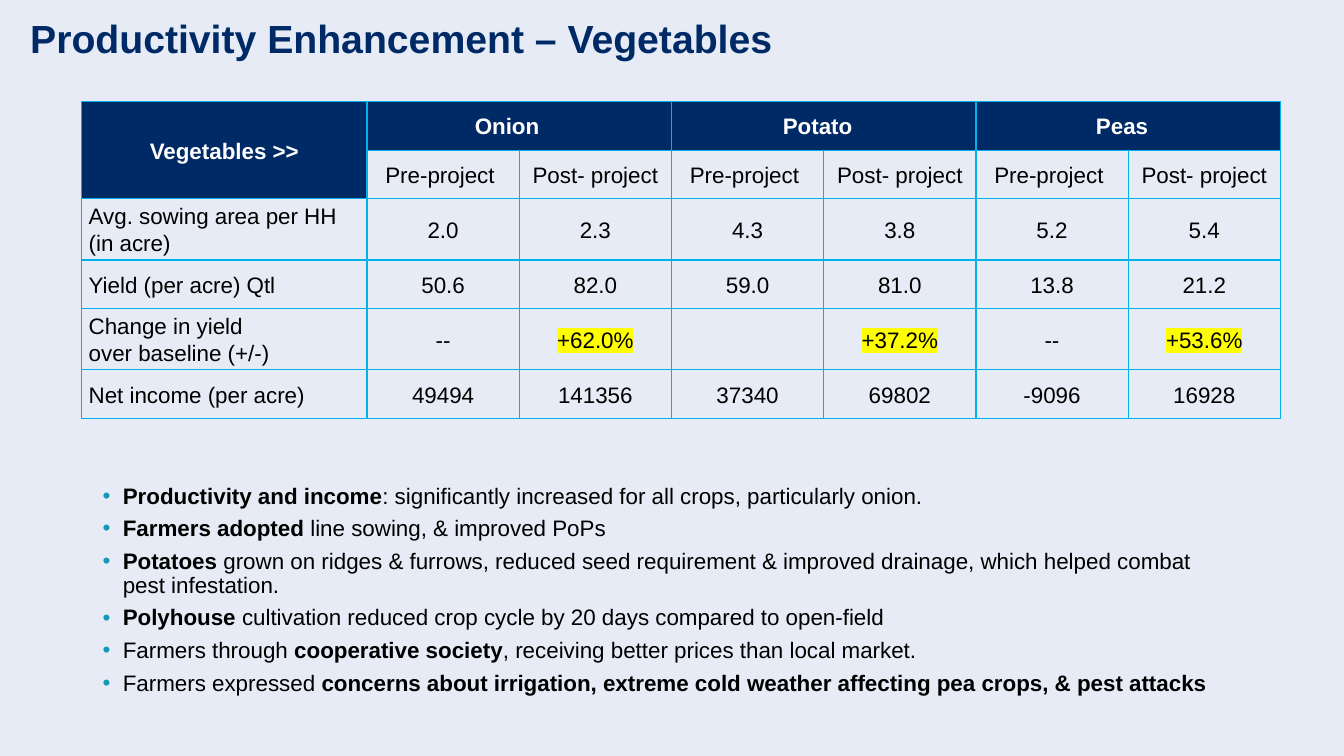
from lxml.etree import SubElement
from pptx import Presentation
from pptx.dml.color import RGBColor
from pptx.enum.text import MSO_ANCHOR, MSO_AUTO_SIZE, PP_ALIGN
from pptx.oxml import parse_xml
from pptx.oxml.ns import nsdecls, qn
from pptx.util import Inches, Pt

NAVY = RGBColor(0x00, 0x2A, 0x66)
PALE_BLUE = RGBColor(0xE6, 0xEB, 0xF5)
CYAN = RGBColor(0x00, 0xB1, 0xE7)
TEAL = RGBColor(0x12, 0x99, 0xB3)
YELLOW = RGBColor(0xFF, 0xFF, 0x00)
BLACK = RGBColor(0x00, 0x00, 0x00)
WHITE = RGBColor(0xFF, 0xFF, 0xFF)

# Crop name and extra right margin in its heading cell
CROPS = [("Onion", 0.24), ("Potato", 0.12), ("Peas", 0.12)]
MEASURES = [
    ("Avg. sowing area per HH (in acre)", ["2.0", "2.3", "4.3", "3.8", "5.2", "5.4"]),
    ("Yield (per acre) Qtl", ["50.6", "82.0", "59.0", "81.0", "13.8", "21.2"]),
    ("Change in yield\nover baseline (+/-)", ["--", "+62.0%", "", "+37.2%", "--", "+53.6%"]),
    ("Net income (per acre)", ["49494", "141356", "37340", "69802", "-9096", "16928"]),
]
COLUMN_WIDTHS = [2.83] + [1.51] * 6
ROW_HEIGHTS = [0.48, 0.48, 0.61, 0.48, 0.61, 0.48]

# Each finding is a list of (text, bold) parts
FINDINGS = [
    [("Productivity and income", True),
     (": significantly increased for all crops, particularly onion.", False)],
    [("Farmers adopted ", True), ("line sowing, & improved PoPs", False)],
    [("Potatoes ", True),
     ("grown on ridges & furrows, reduced seed requirement & improved drainage, "
      "which helped combat pest infestation.", False)],
    [("Polyhouse", True),
     (" cultivation reduced crop cycle by 20 days compared to open-field", False)],
    [("Farmers through ", False), ("cooperative society", True),
     (", receiving better prices than local market.", False)],
    [("Farmers expressed ", False),
     ("concerns about irrigation, extreme cold weather affecting pea crops, "
      "& pest attacks", True)],
]


class SlideBuilder:
    font_name = "Arial"
    body_size = 16

    def __init__(self, slide):
        self.slide = slide
        background = slide.background.fill
        background.solid()
        background.fore_color.rgb = PALE_BLUE

    def style(self, run, size, color, bold):
        font = run.font
        font.name, font.size, font.bold = self.font_name, Pt(size), bold
        font.color.rgb = color

    def textbox(self, left, top, width, height):
        frame = self.slide.shapes.add_textbox(
            Inches(left), Inches(top), Inches(width), Inches(height)).text_frame
        frame.word_wrap = True
        return frame

    def title(self, text, *place):
        frame = self.textbox(*place)
        frame.vertical_anchor = MSO_ANCHOR.MIDDLE
        frame.margin_left = frame.margin_right = Inches(0.13)
        frame.margin_top = frame.margin_bottom = Inches(0.13)
        frame.text = text
        paragraph = frame.paragraphs[0]
        paragraph.line_spacing = 0.9
        self.style(paragraph.runs[0], 28, NAVY, True)

    def bullets(self, items, *place):
        frame = self.textbox(*place)
        frame.auto_size = MSO_AUTO_SIZE.SHAPE_TO_FIT_TEXT
        for index, parts in enumerate(items):
            paragraph = frame.add_paragraph() if index else frame.paragraphs[0]
            paragraph.line_spacing = 0.9
            paragraph.space_after = Pt(6)
            properties = paragraph._p.get_or_add_pPr()
            properties.set("marL", str(Inches(0.31)))
            properties.set("indent", str(Inches(-0.2)))
            bullet_color = SubElement(properties, qn("a:buClr"))
            SubElement(bullet_color, qn("a:srgbClr"), val=str(TEAL))
            SubElement(properties, qn("a:buFont"), typeface=self.font_name)
            SubElement(properties, qn("a:buChar"), char="•")
            for text, bold in parts:
                run = paragraph.add_run()
                run.text = text
                self.style(run, self.body_size, BLACK, bold)

    def table(self, left, top, widths, heights):
        table = self.slide.shapes.add_table(
            len(heights), len(widths), Inches(left), Inches(top),
            Inches(sum(widths)), Inches(sum(heights))).table
        table.first_row = table.horz_banding = False
        for column, width in zip(table.columns, widths):
            column.width = Inches(width)
        for row, height in zip(table.rows, heights):
            row.height = Inches(height)
        for cell in table.iter_cells():
            self.borders(cell)
            cell.fill.background()
        return table

    def borders(self, cell):
        properties = cell._tc.get_or_add_tcPr()
        for side in ("lnL", "lnR", "lnT", "lnB"):
            properties.append(parse_xml(
                f'<a:{side} {nsdecls("a")} w="{Pt(1)}"><a:solidFill>'
                f'<a:srgbClr val="{CYAN}"/></a:solidFill></a:{side}>'))

    def cell(self, cell, text, heading=False, centred=True, extra_right=0):
        cell.vertical_anchor = MSO_ANCHOR.MIDDLE
        cell.margin_left = Inches(0.07)
        cell.margin_right = Inches(0.07 + extra_right)
        cell.margin_top = cell.margin_bottom = 0
        if heading:
            cell.fill.solid()
            cell.fill.fore_color.rgb = NAVY
        cell.text_frame.text = text
        paragraphs = cell.text_frame.paragraphs
        for paragraph in paragraphs:
            paragraph.alignment = PP_ALIGN.CENTER if centred else PP_ALIGN.LEFT
            paragraph.line_spacing = 1.1
            paragraph.space_after = Pt(8 if len(paragraphs) == 1 else 0)
            for run in paragraph.runs:
                self.style(run, self.body_size, WHITE if heading else BLACK, heading)
                if text.endswith("%"):
                    self.highlight(run)

    def highlight(self, run):
        text_fill = run._r.get_or_add_rPr().find(qn("a:solidFill"))
        text_fill.addnext(parse_xml(
            f'<a:highlight {nsdecls("a")}><a:srgbClr val="{YELLOW}"/></a:highlight>'))


def main():
    presentation = Presentation()
    presentation.slide_width = Inches(13.33)
    presentation.slide_height = Inches(7.5)
    builder = SlideBuilder(presentation.slides.add_slide(presentation.slide_layouts[6]))

    builder.title("Productivity Enhancement – Vegetables", 0.17, 0.04, 10.87, 0.73)

    yields = builder.table(0.81, 1.01, COLUMN_WIDTHS, ROW_HEIGHTS)
    yields.cell(0, 0).merge(yields.cell(1, 0))
    builder.cell(yields.cell(0, 0), "Vegetables >>", heading=True)
    for index, (crop, extra_right) in enumerate(CROPS):
        pre, post = 2 * index + 1, 2 * index + 2
        yields.cell(0, pre).merge(yields.cell(0, post))
        builder.cell(yields.cell(0, pre), crop, heading=True, extra_right=extra_right)
        builder.cell(yields.cell(1, pre), "Pre-project ")
        builder.cell(yields.cell(1, post), "Post- project")
    for row, (measure, values) in enumerate(MEASURES, start=2):
        builder.cell(yields.cell(row, 0), measure, centred=False)
        for column, value in enumerate(values, start=1):
            builder.cell(yields.cell(row, column), value)

    builder.bullets(FINDINGS, 0.81, 4.76, 11.49, 2.22)
    presentation.save("out.pptx")


if __name__ == "__main__":
    main()
